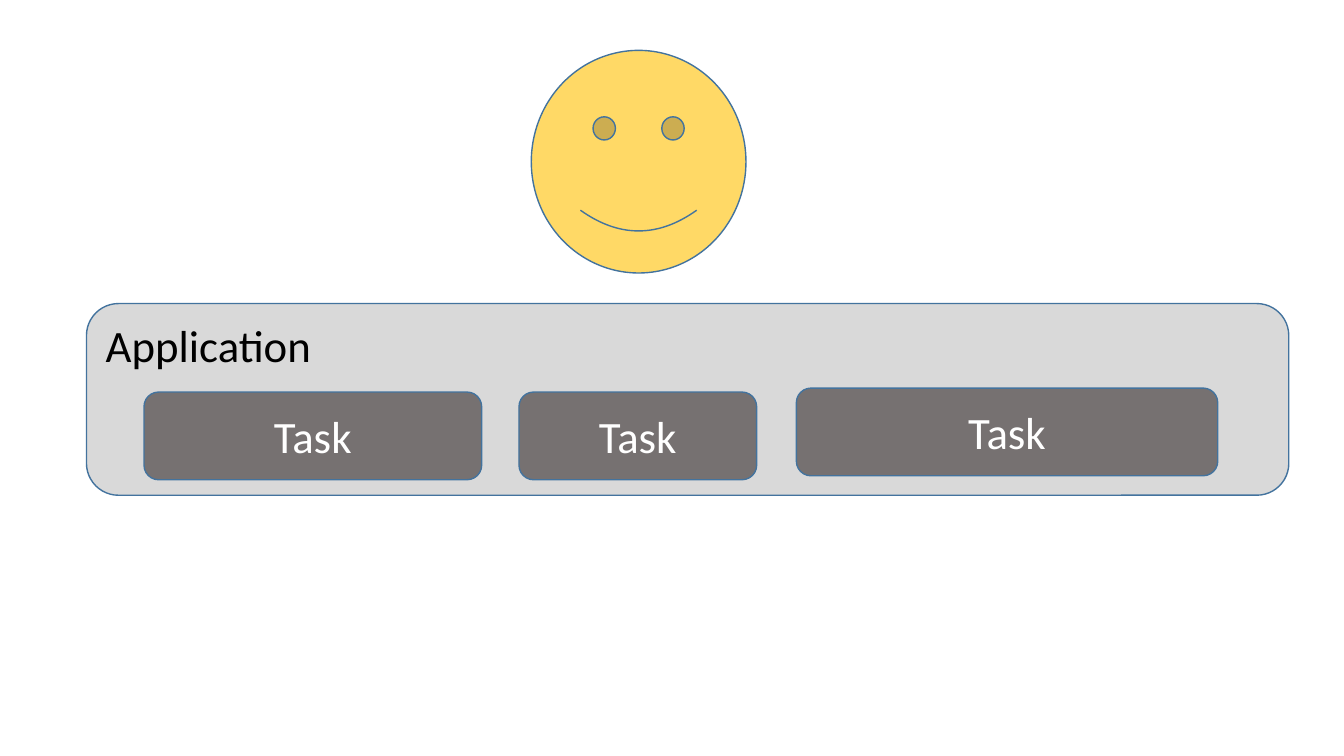
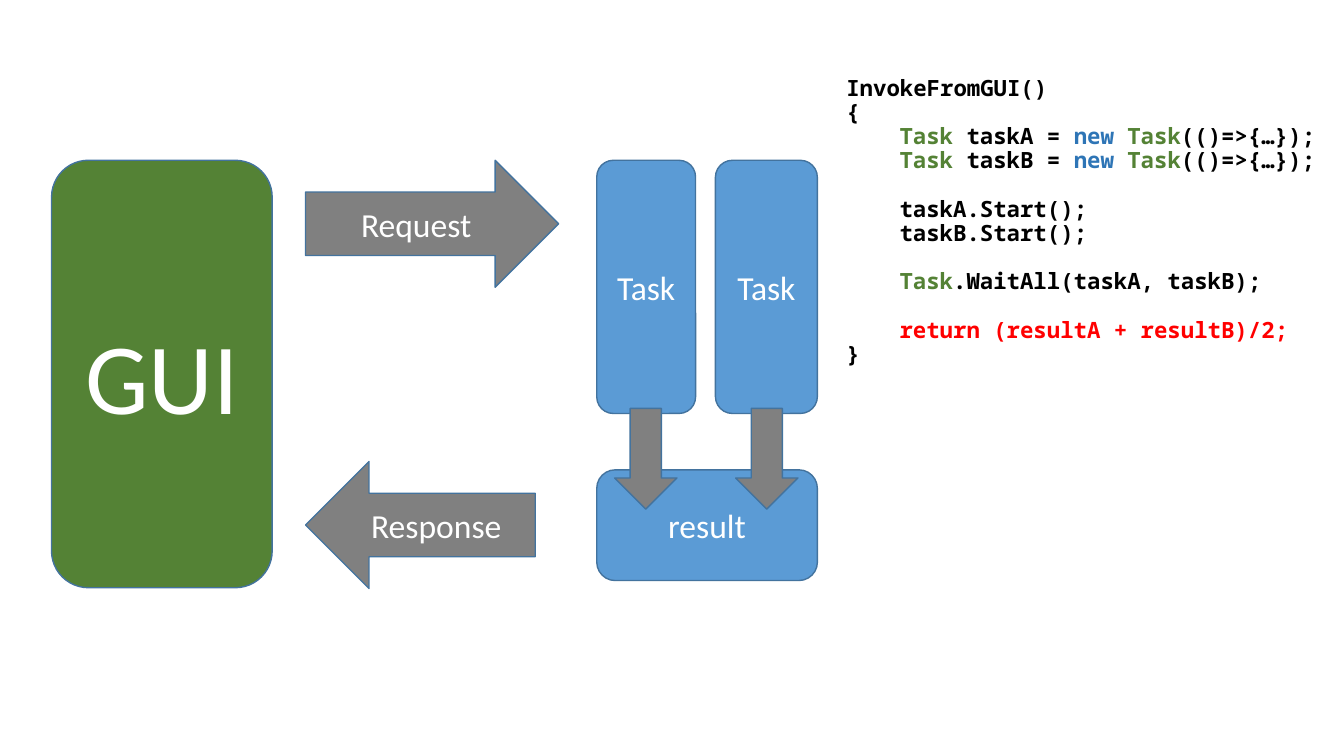
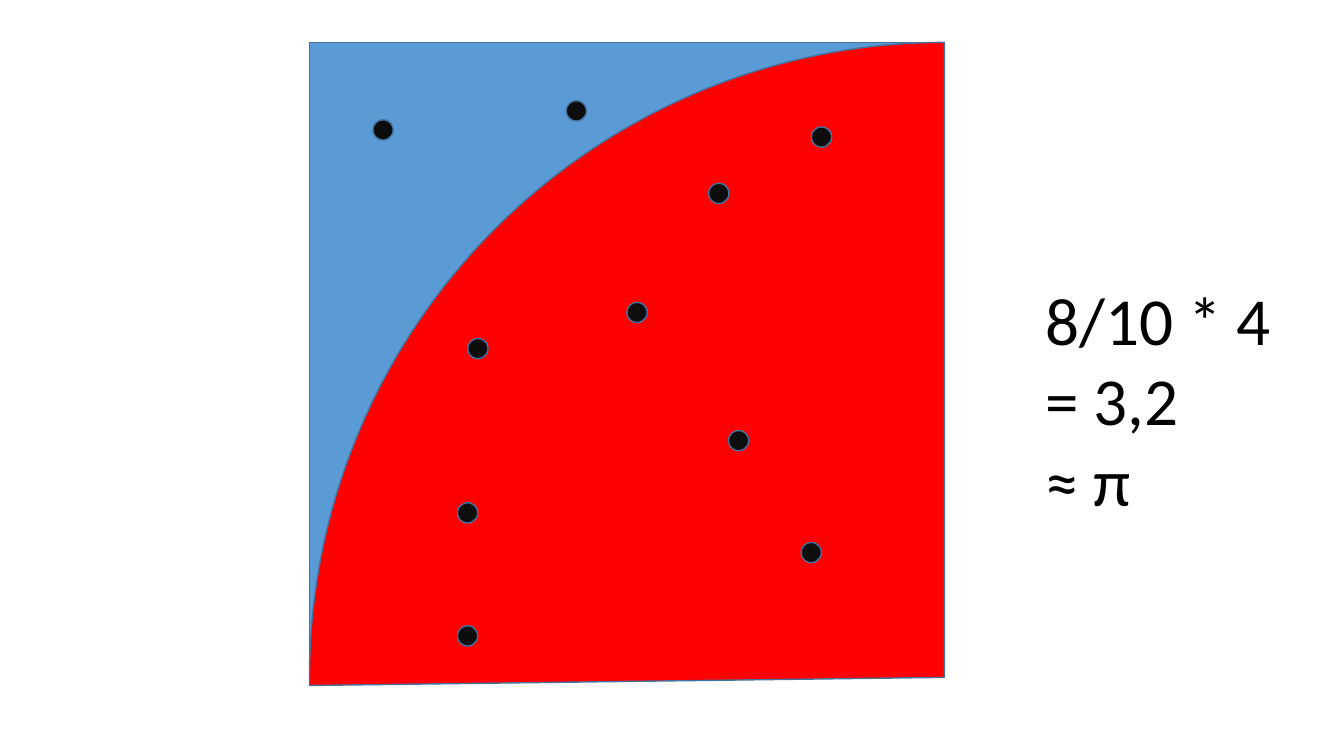
from dataclasses import dataclass

from pptx import Presentation
from pptx.dml.color import RGBColor
from pptx.enum.shapes import MSO_SHAPE
from pptx.enum.text import MSO_ANCHOR, PP_ALIGN
from pptx.shapes.autoshape import Shape
from pptx.slide import Slide
from pptx.text.text import TextFrame
from pptx.util import Cm, Pt

COLORS = {
    "outline": "43739E",
    "panel": "D9D9D9",
    "task": "767171",
    "face": "FFD966",
    "green": "548235",
    "arrow": "808080",
    "blue": "5B9BD5",
    "keyword": "2E75B6",
    "red": "FF0000",
    "dot": "0D0D0D",
    "black": "000000",
    "white": "FFFFFF",
}
FONT = "Calibri"
CODE_FONT = "Noto Sans Mono"
CODE_PITCH = Pt(17.28)
CODE_INDENT = Cm(1.34)
BLANK_LAYOUT = 6


@dataclass(frozen=True)
class Block:
    kind: MSO_SHAPE
    left: float
    top: float
    width: float
    height: float
    fill: str
    text: str = ""
    size: int = 24
    color: str = "white"
    align: PP_ALIGN = PP_ALIGN.CENTER
    anchor: MSO_ANCHOR = MSO_ANCHOR.MIDDLE


@dataclass(frozen=True)
class CodeLine:
    tokens: tuple[tuple[str, str], ...]
    indented: bool = True
    gap: bool = False


def rgb(name: str) -> RGBColor:
    return RGBColor.from_string(COLORS[name])


def draw_block(s: Slide, b: Block) -> Shape:
    sp = s.shapes.add_shape(b.kind, Cm(b.left), Cm(b.top), Cm(b.width), Cm(b.height))
    sp.shadow.inherit = False
    sp.fill.solid()
    sp.fill.fore_color.rgb = rgb(b.fill)
    sp.line.color.rgb = rgb("outline")
    sp.line.width = Pt(1)
    if b.text:
        tf = sp.text_frame
        tf.vertical_anchor = b.anchor
        p = tf.paragraphs[0]
        p.text = b.text
        p.alignment = b.align
        p.font.name = FONT
        p.font.size = Pt(b.size)
        p.font.color.rgb = rgb(b.color)
    return sp


def add_text_box(s: Slide, left: float, top: float, width: float, height: float) -> TextFrame:
    tf = s.shapes.add_textbox(Cm(left), Cm(top), Cm(width), Cm(height)).text_frame
    tf.word_wrap = True
    return tf


def draw_code(tf: TextFrame, lines: list[CodeLine]) -> None:
    tf.margin_right = 0
    for i, line in enumerate(lines):
        p = tf.paragraphs[0] if i == 0 else tf.add_paragraph()
        p.line_spacing = CODE_PITCH
        p.font.name = CODE_FONT
        p.font.size = Pt(16)
        p.font.bold = True
        if line.gap:
            p.space_before = CODE_PITCH
        if line.indented:
            pPr = p._p.get_or_add_pPr()
            pPr.set("marL", str(int(CODE_INDENT)))
            pPr.set("indent", "0")
        for text, color in line.tokens:
            r = p.add_run()
            r.text = text
            r.font.color.rgb = rgb(color)


def declare_task(name: str) -> CodeLine:
    return CodeLine((
        ("Task", "green"),
        (f" {name} = ", "black"),
        ("new ", "keyword"),
        ("Task", "green"),
        ("(()=>{…});", "black"),
    ))


def build_application(s: Slide) -> None:
    draw_block(s, Block(MSO_SHAPE.ROUNDED_RECTANGLE, 2.18, 7.65, 30.3, 4.83, "panel",
                        "Application", 32, "black", PP_ALIGN.LEFT, MSO_ANCHOR.TOP))
    for left, top, width in ((3.63, 9.88, 8.51), (13.08, 9.88, 5.99), (20.07, 9.78, 10.62)):
        draw_block(s, Block(MSO_SHAPE.ROUNDED_RECTANGLE, left, top, width, 2.21, "task",
                            "Task", 32))
    draw_block(s, Block(MSO_SHAPE.SMILEY_FACE, 13.39, 1.27, 5.41, 5.61, "face"))


def build_request(s: Slide) -> None:
    box = MSO_SHAPE.ROUNDED_RECTANGLE
    blocks = [
        Block(box, 1.3, 4.04, 5.56, 10.77, "green", "GUI", 72),
        Block(MSO_SHAPE.RIGHT_ARROW, 7.7, 4.04, 6.38, 3.2, "arrow", "Request"),
        Block(MSO_SHAPE.LEFT_ARROW, 7.7, 11.63, 5.79, 3.2, "arrow", "Response"),
        Block(box, 15.04, 4.04, 2.49, 6.38, "blue", "Task"),
        Block(box, 18.03, 4.04, 2.57, 6.38, "blue", "Task"),
        Block(box, 15.04, 11.84, 5.56, 2.79, "blue", "result"),
    ]
    blocks += [Block(MSO_SHAPE.DOWN_ARROW, left, 10.29, 1.57, 2.54, "arrow")
               for left in (18.54, 15.49)]
    for b in blocks:
        draw_block(s, b)

    draw_code(add_text_box(s, 21.08, 1.8, 12.37, 12.83), [
        CodeLine((("InvokeFromGUI()", "black"),), indented=False),
        CodeLine((("{", "black"),), indented=False),
        declare_task("taskA"),
        declare_task("taskB"),
        CodeLine((("taskA.Start();", "black"),), gap=True),
        CodeLine((("taskB.Start();", "black"),)),
        CodeLine((("Task", "green"), (".WaitAll(taskA, taskB);", "black")), gap=True),
        CodeLine((("return (resultA + resultB)/2;", "red"),), gap=True),
        CodeLine((("}", "black"),), indented=False),
    ])


def build_pi_estimate(s: Slide) -> None:
    left, top, side = 7.8, 1.07, 16
    draw_block(s, Block(MSO_SHAPE.RECTANGLE, left, top, side, side, "blue"))
    pie = draw_block(s, Block(MSO_SHAPE.PIE, left, top, 2 * side, 2 * side, "red"))
    pie.adjustments[0] = 107.56
    pie.adjustments[1] = 162

    dots = (
        (20.19, 13.67), (11.53, 12.67), (17.86, 4.62), (18.36, 10.85), (9.4, 3.02),
        (11.79, 8.53), (20.45, 3.2), (15.8, 7.62), (14.27, 2.54), (11.53, 15.77),
    )
    for x, y in dots:
        draw_block(s, Block(MSO_SHAPE.OVAL, x, y, 0.51, 0.51, "dot"))

    tf = add_text_box(s, 26.09, 6.88, 6.65, 6.4)
    tf.text = "8/10 * 4\n= 3,2\n≈ π"
    for p in tf.paragraphs:
        p.font.name = FONT
        p.font.size = Pt(48)
        p.font.color.rgb = rgb("black")


def main() -> None:
    prs = Presentation()
    prs.slide_width = Cm(33.87)
    prs.slide_height = Cm(19.05)
    for build in (build_application, build_request, build_pi_estimate):
        build(prs.slides.add_slide(prs.slide_layouts[BLANK_LAYOUT]))
    prs.save("out.pptx")


if __name__ == "__main__":
    main()
